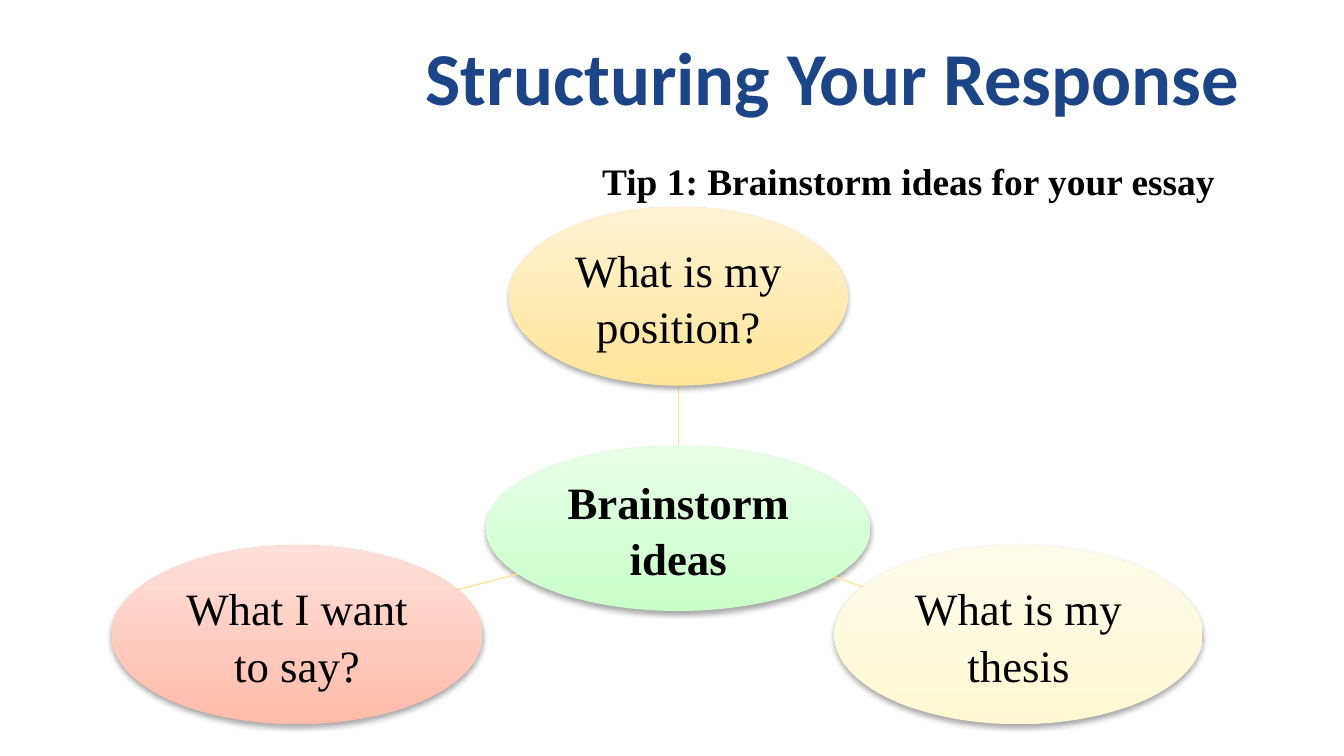
from dataclasses import dataclass

import pptx
import pptx.dml.color
import pptx.enum.shapes
import pptx.enum.text
import pptx.oxml
import pptx.oxml.ns
import pptx.util

Cm = pptx.util.Cm
Pt = pptx.util.Pt
ALIGN = pptx.enum.text.PP_ALIGN
ANCHOR = pptx.enum.text.MSO_ANCHOR


@dataclass(frozen=True)
class Theme:
    title_font: str = "Calibri"
    body_font: str = "Times New Roman"
    title_size: int = 40
    tip_size: int = 20
    bubble_size: int = 24
    title: str = "1C4587"
    text: str = "000000"
    link: str = "FFE599"
    # Bubble gradients: bottom colour, top colour
    green: tuple = ("CAFFCA", "E6FFE6")
    amber: tuple = ("FFE599", "FFF2D4")
    cream: tuple = ("FFF8D3", "FFFCEA")
    coral: tuple = ("FFBBAA", "FFE0DA")


THEME = Theme()

SHADOW = (
    f'<a:outerShdw {pptx.oxml.ns.nsdecls("a")} blurRad="40000" dist="23000" '
    'dir="5400000" rotWithShape="0"><a:srgbClr val="000000">'
    '<a:alpha val="35000"/></a:srgbClr></a:outerShdw>'
)


def rgb(value):
    return pptx.dml.color.RGBColor.from_string(value)


def set_text(tf, text, font, size, color, bold, align, inset):
    tf.margin_left = tf.margin_right = tf.margin_top = tf.margin_bottom = inset
    p = tf.paragraphs[0]
    p.alignment = align
    r = p.add_run()
    r.text = text
    r.font.name = font
    r.font.size = Pt(size)
    r.font.bold = bold
    r.font.color.rgb = rgb(color)
    return p


def add_title(slide, text):
    tf = slide.shapes.add_textbox(Cm(5.61), Cm(0.58), Cm(17.81), Cm(3.3)).text_frame
    tf.word_wrap = True
    set_text(tf, text, THEME.title_font, THEME.title_size, THEME.title,
             True, ALIGN.RIGHT, 0)


def add_tip(slide, text):
    tf = slide.shapes.add_textbox(Cm(11.13), Cm(2.74), Cm(12.12), Cm(1.12)).text_frame
    tf.word_wrap = False
    set_text(tf, text, THEME.body_font, THEME.tip_size, THEME.text,
             True, ALIGN.LEFT, Cm(0.25))


def add_bubble(slide, text, left, top, width, height, colors, bold=False):
    sp = slide.shapes.add_shape(pptx.enum.shapes.MSO_SHAPE.OVAL,
                                Cm(left), Cm(top), Cm(width), Cm(height))
    sp.fill.gradient()
    sp.fill.gradient_angle = 90
    for stop, color in zip(sp.fill.gradient_stops, colors):
        stop.color.rgb = rgb(color)
    sp.line.fill.background()
    sp.shadow.inherit = False
    effects = sp._element.spPr.find(pptx.oxml.ns.qn("a:effectLst"))
    effects.append(pptx.oxml.parse_xml(SHADOW))

    tf = sp.text_frame
    tf.word_wrap = True
    tf.vertical_anchor = ANCHOR.MIDDLE
    p = set_text(tf, text, THEME.body_font, THEME.bubble_size, THEME.text,
                 bold, ALIGN.CENTER, Cm(0.05))
    p.line_spacing = 1.05
    return sp


def add_link(slide, x1, y1, x2, y2):
    link = slide.shapes.add_connector(pptx.enum.shapes.MSO_CONNECTOR.STRAIGHT,
                                      Cm(x1), Cm(y1), Cm(x2), Cm(y2))
    link.line.color.rgb = rgb(THEME.link)
    link.line.width = Pt(0.75)
    link._element.spPr.append(pptx.oxml.parse_xml(
        f'<a:effectLst {pptx.oxml.ns.nsdecls("a")}/>'))
    return link


def main():
    prs = pptx.Presentation()
    prs.slide_width, prs.slide_height = Cm(25.4), Cm(14.29)
    slide = prs.slides.add_slide(prs.slide_layouts[6])

    add_title(slide, "Structuring Your Response")
    add_tip(slide, "Tip 1: Brainstorm ideas for your essay")

    hub = add_bubble(slide, "Brainstorm ideas", 9.19, 8.43, 7.26, 3.12,
                     THEME.green, bold=True)
    up = add_link(slide, 12.82, 8.43, 12.82, 7.29)
    up.begin_connect(hub, 0)
    add_link(slide, 15.75, 10.9, 16.33, 11.1)
    add_link(slide, 9.78, 10.85, 8.64, 11.15)

    height = 3.38
    for text, left, top, width, colors in (
        ("What is my position?", 9.62, 3.91, 6.4, THEME.amber),
        ("What is my thesis", 15.77, 10.31, 6.96, THEME.cream),
        ("What I want to say?", 2.11, 10.31, 7.01, THEME.coral),
    ):
        add_bubble(slide, text, left, top, width, height, colors)

    prs.save("out.pptx")


if __name__ == "__main__":
    main()
